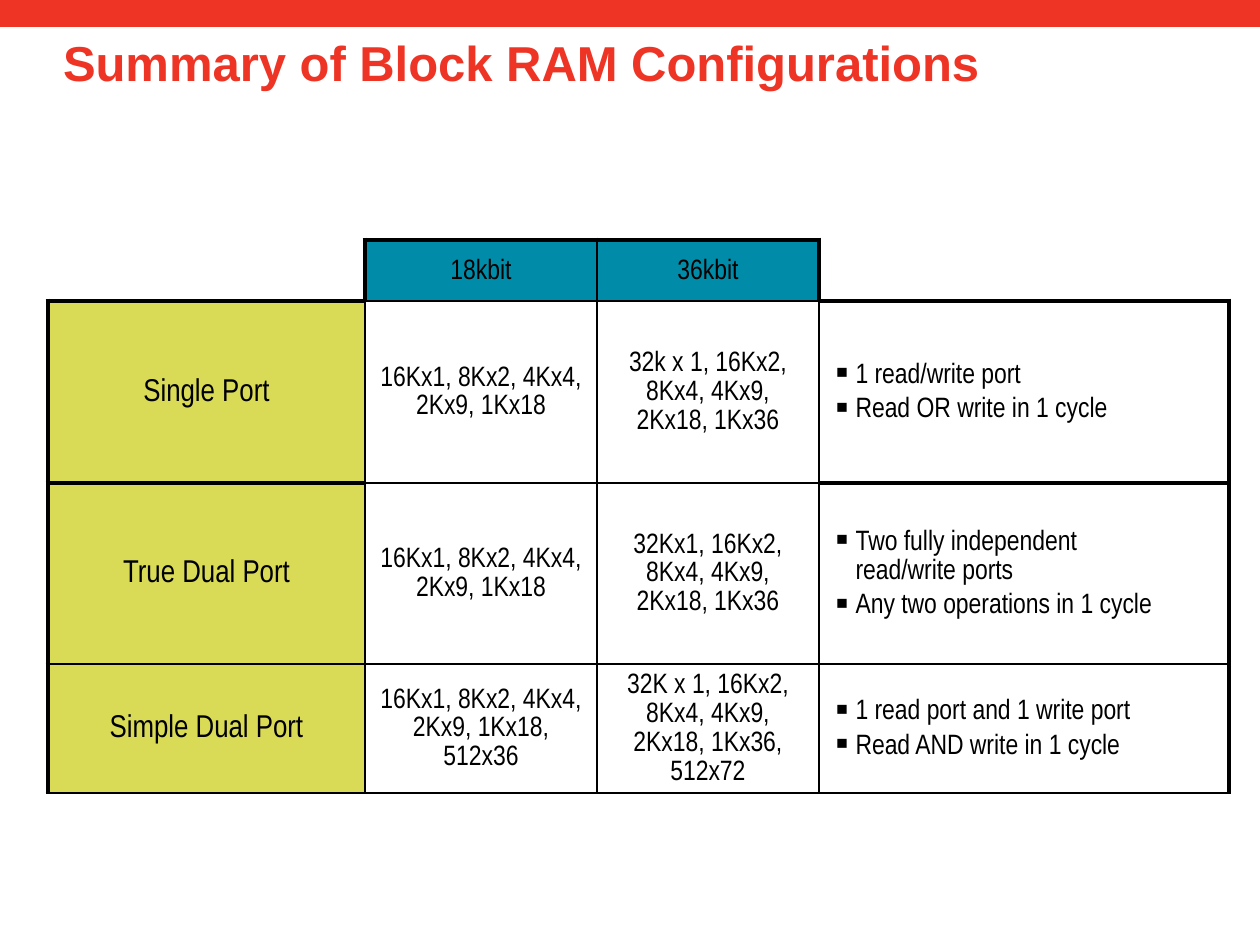
from dataclasses import dataclass

from lxml.etree import SubElement
from pptx import Presentation
from pptx.dml.color import RGBColor as RGB
from pptx.enum.shapes import MSO_SHAPE as SHAPE
from pptx.enum.text import MSO_ANCHOR as ANCHOR, PP_ALIGN as ALIGN
from pptx.oxml.ns import qn
from pptx.util import Emu, Pt

EMU_PER_PX = 914400 / 126


@dataclass(frozen=True)
class Theme:
    """Colours, fonts and type sizes of the slide."""
    red: str = "EE3424"
    teal: str = "008CA8"
    lime: str = "D9DA56"
    black: str = "000000"
    title_font: str = "Arial"
    table_font: str = "Arial Narrow"
    title_size: int = 28
    label_size: int = 18
    body_size: int = 16


THEME = Theme()
COLS = (317, 232, 222, 410)
ROWS = (61, 182, 181, 129)
CELLS = (
    ("", "18kbit", "36kbit", ""),
    ("Single Port", "16Kx1, 8Kx2, 4Kx4, 2Kx9, 1Kx18",
     "32k x 1, 16Kx2, 8Kx4, 4Kx9, 2Kx18, 1Kx36",
     ("1 read/write port", "Read OR write in 1 cycle")),
    ("True Dual Port", "16Kx1, 8Kx2, 4Kx4, 2Kx9, 1Kx18",
     "32Kx1, 16Kx2, 8Kx4, 4Kx9, 2Kx18, 1Kx36",
     ("Two fully independent \vread/write ports", "Any two operations in 1 cycle")),
    ("Simple Dual Port", "16Kx1, 8Kx2, 4Kx4, 2Kx9, 1Kx18, 512x36",
     "32K x 1, 16Kx2, 8Kx4, 4Kx9, 2Kx18, 1Kx36, 512x72",
     ("1 read port and 1 write port", "Read AND write in 1 cycle")),
)
ROW_RULES = ((0, 3, 3, 0), (3, 1, 1, 3), (3, 1, 1, 3), (1, 1, 1, 1), (1, 1, 1, 1))
COL_RULES = ((0, 3, 1, 3, 0),) + ((3, 1, 1, 1, 3),) * 3


def px(n):
    """Turn pixels into EMU."""
    return Emu(round(n * EMU_PER_PX))


def set_all(obj, formats):
    """Set each named attribute on an object."""
    for name, value in formats.items():
        setattr(obj, name, value)


def style_text(p, font, size, color, bold=False):
    """Format every run and line break of a paragraph."""
    for r in p.runs:
        set_all(r.font, {"name": font, "size": Pt(size), "bold": bold})
        r.font.color.rgb = RGB.from_string(color)
    for br in p._p.findall(qn("a:br")):
        SubElement(br, qn("a:rPr"), sz=str(size * 100))


def add_band(s, x, y, w, h):
    """Draw the coloured band."""
    sp = s.shapes.add_shape(SHAPE.RECTANGLE, px(x), px(y), px(w), px(h))
    sp.shadow.inherit = False
    sp.fill.solid()
    sp.fill.fore_color.rgb = RGB.from_string(THEME.red)
    sp.line.fill.background()


def add_title(s, x, y, w, h, text):
    """Place and format the title placeholder."""
    sp = s.shapes.title
    set_all(sp, {"left": px(x), "top": px(y), "width": px(w), "height": px(h)})
    tf = sp.text_frame
    set_all(tf, {"margin_left": 0, "vertical_anchor": ANCHOR.TOP, "word_wrap": True})
    p = tf.paragraphs[0]
    set_all(p, {"text": text, "alignment": ALIGN.LEFT, "line_spacing": 0.98})
    style_text(p, THEME.title_font, THEME.title_size, THEME.red, True)


def set_borders(cell, widths):
    """Rule the left, right, top and bottom of a cell; zero means no line."""
    tcPr = cell._tc.get_or_add_tcPr()
    for side, width in zip("LRTB", widths):
        ln = SubElement(tcPr, qn(f"a:ln{side}"), w=str(Pt(width)))
        if width:
            fill = SubElement(ln, qn("a:solidFill"))
            SubElement(fill, qn("a:srgbClr"), val=THEME.black)
        else:
            SubElement(ln, qn("a:noFill"))


def add_bullet(p):
    """Give a paragraph a square bullet with a hanging indent."""
    pPr = p._p.get_or_add_pPr()
    pPr.set("marL", str(px(24)))
    pPr.set("indent", str(-px(24)))
    SubElement(pPr, qn("a:buChar"), char="▪")


def fill_cell(cell, content, size, color):
    """Write one cell: a centred string or a bulleted tuple."""
    if color:
        cell.fill.solid()
        cell.fill.fore_color.rgb = RGB.from_string(color)
    else:
        cell.fill.background()
    cell.vertical_anchor = ANCHOR.MIDDLE
    bulleted = isinstance(content, tuple)
    tf = cell.text_frame
    for i, text in enumerate(content if bulleted else (content,)):
        p = tf.add_paragraph() if i else tf.paragraphs[0]
        set_all(p, {"text": text, "line_spacing": 1.1, "space_before": Pt(size * 0.2),
                    "alignment": ALIGN.LEFT if bulleted else ALIGN.CENTER})
        if bulleted:
            add_bullet(p)
        style_text(p, THEME.table_font, size, THEME.black)


def add_config_table(s, x, y):
    """Build the table of block RAM configurations."""
    table = s.shapes.add_table(len(ROWS), len(COLS), px(x), px(y),
                               px(sum(COLS)), px(sum(ROWS))).table
    set_all(table, {"first_row": False, "horz_banding": False})
    for col, width in zip(table.columns, COLS):
        col.width = px(width)
    for i, height in enumerate(ROWS):
        table.rows[i].height = px(height)
        for j, content in enumerate(CELLS[i]):
            cell = table.cell(i, j)
            set_borders(cell, (COL_RULES[i][j], COL_RULES[i][j + 1],
                               ROW_RULES[i][j], ROW_RULES[i + 1][j]))
            is_label = i > 0 and j == 0
            is_header = i == 0 and content
            color = THEME.teal if is_header else THEME.lime if is_label else None
            size = THEME.label_size if is_label else THEME.body_size
            fill_cell(cell, content, size, color)


def main():
    """Build and save the slide."""
    prs = Presentation()
    set_all(prs, {"slide_width": px(1260), "slide_height": px(945)})
    s = prs.slides.add_slide(prs.slide_layouts[5])
    add_band(s, 0, 0, 1260, 27)
    add_title(s, 63, 29, 1134, 158, "Summary of Block RAM Configurations")
    add_config_table(s, 48, 240)
    prs.save("out.pptx")


if __name__ == "__main__":
    main()
